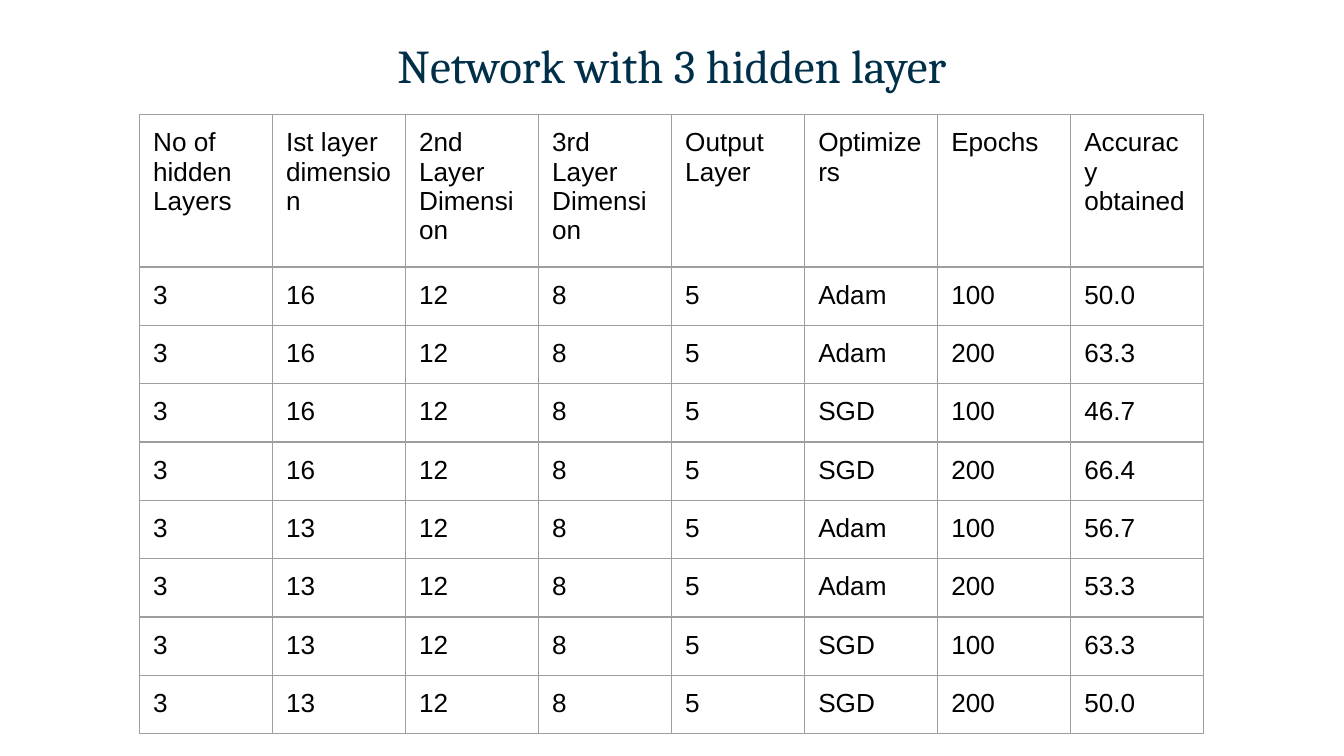
from lxml import etree
from pptx import Presentation
from pptx import util as u
from pptx.dml import color
from pptx.enum import text
from pptx.oxml import ns

COLUMN, ROW = 0.99, 0.42


def columns(count):
    return u.Inches(count * COLUMN)


def rows(count):
    return u.Inches(count * ROW)


def rgb(value):
    return color.RGBColor.from_string(value)


def write(frame, content, font="Arial", size=14, ink="000000", align=text.PP_ALIGN.LEFT):
    frame.word_wrap = True
    frame.text = content
    for paragraph in frame.paragraphs:
        paragraph.alignment = align
        for run in paragraph.runs:
            run.font.name = font
            run.font.size = u.Pt(size)
            run.font.color.rgb = rgb(ink)


class Deck:
    border = "9E9E9E"
    border_width = 0.75
    cell_inset = u.Inches(0.1)

    def __init__(self, width, ratio):
        self.presentation = Presentation()
        self.presentation.slide_width = u.Inches(width)
        self.presentation.slide_height = u.Inches(width / ratio)
        self.slide = self.presentation.slides.add_slide(self.presentation.slide_layouts[6])

    def title(self, content, left, top, width, height):
        shape = self.slide.shapes.add_textbox(
            columns(left), rows(top), columns(width), rows(height))
        write(shape.text_frame, content, font="Cambria", size=25.2,
              ink="002F4A", align=text.PP_ALIGN.CENTER)
        shape.text_frame.vertical_anchor = text.MSO_ANCHOR.MIDDLE

    def outline(self, cell):
        properties = cell._tc.get_or_add_tcPr()
        for position, side in enumerate(("a:lnL", "a:lnR", "a:lnT", "a:lnB")):
            line = etree.Element(ns.qn(side), w=str(u.Pt(self.border_width)))
            fill = etree.SubElement(line, ns.qn("a:solidFill"))
            etree.SubElement(fill, ns.qn("a:srgbClr"), val=self.border)
            properties.insert(position, line)

    def table(self, records, left, top, width, height):
        shape = self.slide.shapes.add_table(
            len(records), len(records[0]), columns(left), rows(top),
            columns(width), rows(height))
        table = shape.table
        table.first_row = table.horz_banding = False
        for column in table.columns:
            column.width = columns(1)
        for row, record in zip(table.rows, records):
            row.height = rows(1)
            for cell, content in zip(row.cells, record):
                write(cell.text_frame, content)
                cell.margin_left = cell.margin_right = self.cell_inset
                cell.margin_top = cell.margin_bottom = self.cell_inset
                cell.fill.background()
                self.outline(cell)
        shape.width, shape.height = columns(width), rows(height)


headers = ["No of hidden\nLayers", "Ist layer dimension", "2nd Layer Dimension",
           "3rd Layer Dimension", "Output Layer", "Optimizers", "Epochs",
           "Accuracy\nobtained"]
results = [
    ("16", "Adam", "100", "50.0"),
    ("16", "Adam", "200", "63.3"),
    ("16", "SGD", "100", "46.7"),
    ("16", "SGD", "200", "66.4"),
    ("13", "Adam", "100", "56.7"),
    ("13", "Adam", "200", "53.3"),
    ("13", "SGD", "100", "63.3"),
    ("13", "SGD", "200", "50.0"),
]
records = [headers] + [["3", first, "12", "8", "5", optimizer, epochs, accuracy]
                       for first, optimizer, epochs, accuracy in results]

deck = Deck(10, 16 / 9)
deck.title("Network with 3 hidden layer", left=0.51, top=0.54, width=9.08, height=1.21)
deck.table(records, left=1.05, top=2.03, width=3.31, height=7.81)
deck.presentation.save("out.pptx")
